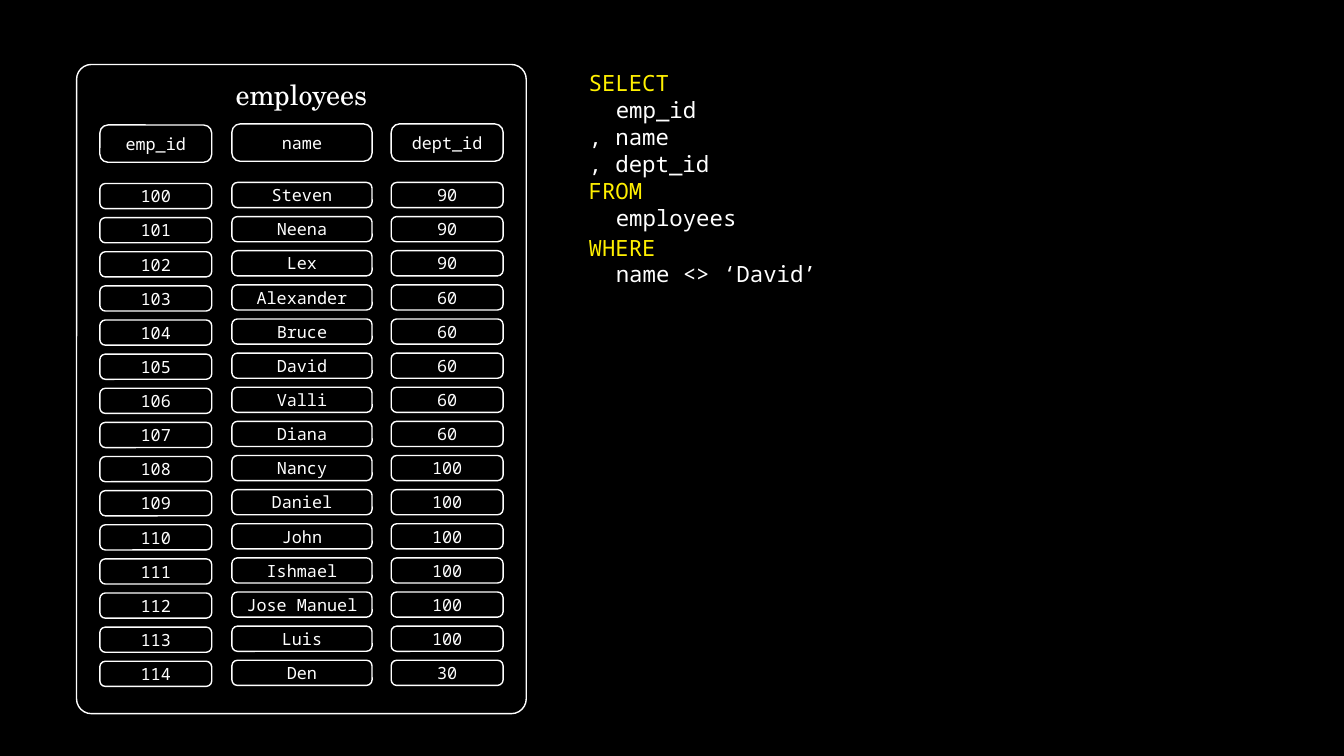
from pptx import Presentation
from pptx.dml.color import RGBColor
from pptx.enum.shapes import MSO_SHAPE
from pptx.enum.text import MSO_ANCHOR, PP_ALIGN
from pptx.util import Inches, Pt

ROUND = MSO_SHAPE.ROUNDED_RECTANGLE
TOP, MIDDLE = MSO_ANCHOR.TOP, MSO_ANCHOR.MIDDLE
CENTER = PP_ALIGN.CENTER
BLACK = RGBColor(0x00, 0x00, 0x00)
WHITE = RGBColor(0xFF, 0xFF, 0xFF)
YELLOW = RGBColor(0xFF, 0xF0, 0x00)
MONO, SERIF = "Noto Sans Mono", "TeX Gyre Schola"

deck = Presentation()
deck.slide_width, deck.slide_height = Inches(13.33), Inches(7.5)
slide = deck.slides.add_slide(deck.slide_layouts[6])
slide.background.fill.solid()
slide.background.fill.fore_color.rgb = BLACK


def write(para, text, font, size, color):
    run = para.add_run()
    run.text = text
    for key, value in {"name": font, "size": Pt(size)}.items():
        setattr(run.font, key, value)
    run.font.color.rgb = color


def add_box(area, bend, text, font, size, anchor, inset):
    box = slide.shapes.add_shape(ROUND, *map(Inches, area))
    box.adjustments[0] = bend
    box.shadow.inherit = False
    box.fill.background()
    box.line.color.rgb = WHITE
    box.line.width = Pt(1)
    frame = box.text_frame
    style = {
        "word_wrap": False, "vertical_anchor": anchor, "margin_top": Inches(inset),
        "margin_bottom": 0, "margin_left": 0, "margin_right": 0,
    }
    for key, value in style.items():
        setattr(frame, key, value)
    para = frame.paragraphs[0]
    para.alignment = CENTER
    write(para, text, font, size, WHITE)


add_box((0.76, 0.64, 4.46, 6.44), 0.033, "employees", SERIF, 20, TOP, 0.09)

names = [
    "Steven", "Neena", "Lex", "Alexander", "Bruce", "David", "Valli", "Diana",
    "Nancy", "Daniel", "John", "Ishmael", "Jose Manuel", "Luis", "Den",
]
depts = [90] * 3 + [60] * 5 + [100] * 6 + [30]
columns = [
    ("emp_id", 0.99, 1.11, 0.01, range(100, 115)),
    ("name", 2.3, 1.39, 0, names),
    ("dept_id", 3.88, 1.11, 0, depts),
]
first, last = 1.81, 6.55
pitch = (last - first) / (len(names) - 1)

for head, left, width, drop, cells in columns:
    add_box((left, 1.23 + drop, width, 0.37), 0.219, head, MONO, 12, MIDDLE, 0)
    for row, cell in enumerate(cells):
        top = first + drop + row * pitch
        add_box((left, top, width, 0.25), 0.219, str(cell), MONO, 12, MIDDLE, 0)

indent = Inches(0.27)
query = [
    (0.64, 1.72, [
        ("SELECT", YELLOW, 0), ("emp_id", WHITE, indent), (", name", WHITE, 0),
        (", dept_id", WHITE, 0), ("FROM", YELLOW, 0), ("employees", WHITE, indent),
    ]),
    (2.27, 0.64, [("WHERE", YELLOW, 0), ("name <> ‘David’", WHITE, indent)]),
]
for top, height, lines in query:
    area = (5.74, top, 6.83, height)
    frame = slide.shapes.add_textbox(*map(Inches, area)).text_frame
    frame.word_wrap = True
    for index, (text, color, margin) in enumerate(lines):
        para = frame.add_paragraph() if index else frame.paragraphs[0]
        para._p.get_or_add_pPr().set("marL", str(margin))
        write(para, text, MONO, 16, color)

deck.save("out.pptx")
